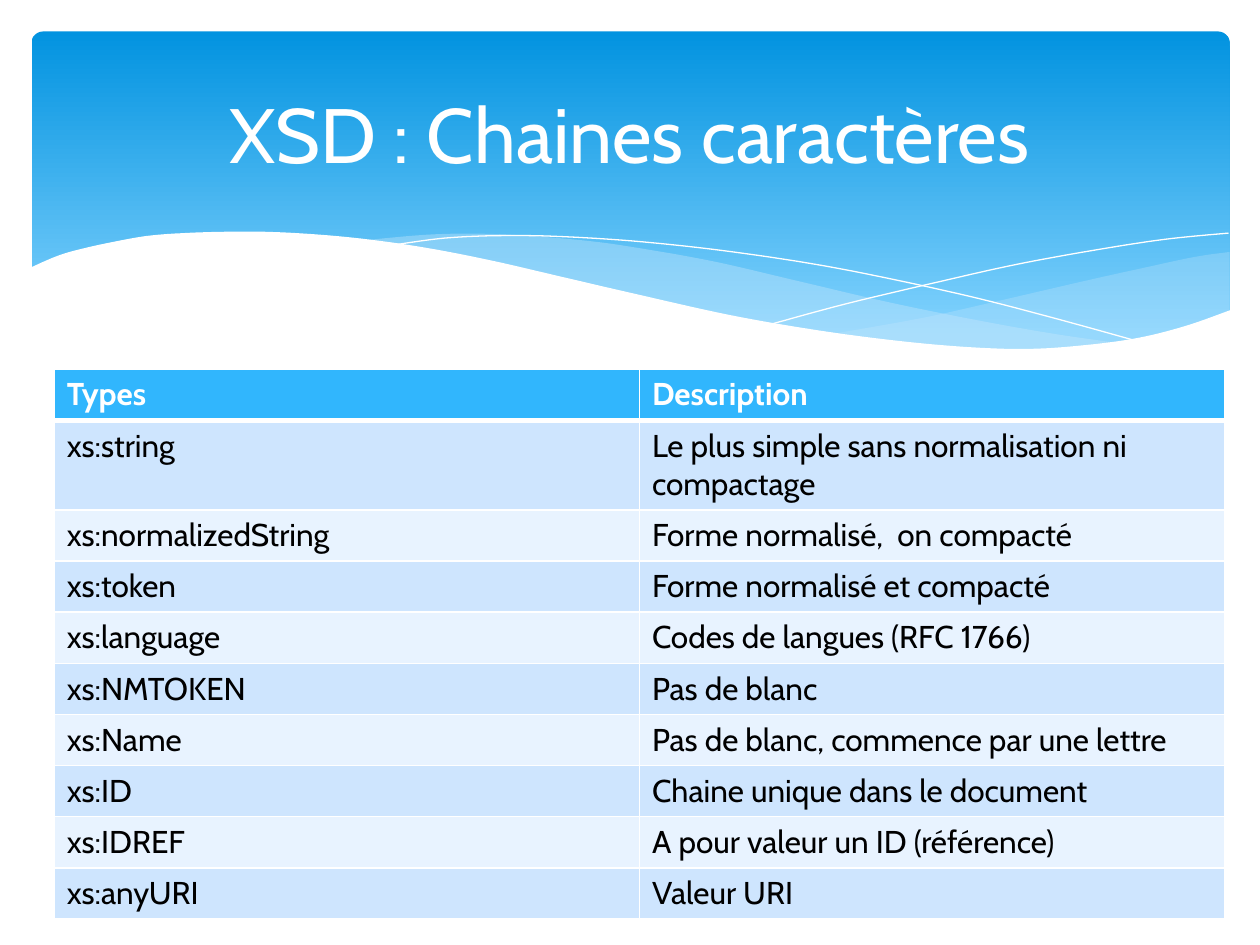
import pptx
import pptx.util
import pptx.dml.color
import pptx.enum.shapes
import pptx.enum.text
import pptx.oxml
import pptx.oxml.ns

RGB = pptx.dml.color.RGBColor
WHITE = RGB(0xFF, 0xFF, 0xFF)
BLACK = RGB(0x00, 0x00, 0x00)
SKY_DEEP = RGB(0x02, 0x93, 0xE0)
SKY_LIGHT = RGB(0x83, 0xD3, 0xFE)
MIST = RGB(0xC6, 0xE7, 0xFC)
HEADER = RGB(0x31, 0xB6, 0xFD)
BANDS = (RGB(0xE8, 0xF3, 0xFF), RGB(0xCE, 0xE5, 0xFE))

COLUMNS, ROWS = 100, 75  # grid of the slide


def smooth(knots, steps=8):
    """Points of a Catmull-Rom curve through the knots."""
    ends = [knots[0], *knots, knots[-1]]
    points = [knots[0]]
    for a, b, c, d in zip(ends, ends[1:], ends[2:], ends[3:]):
        for i in range(1, steps + 1):
            t = i / steps
            points.append(tuple(
                (2 * q + (r - p) * t + (2 * p - 5 * q + 4 * r - s) * t ** 2
                 + (3 * q - p - 3 * r + s) * t ** 3) / 2
                for p, q, r, s in zip(a, b, c, d)))
    return points


class Deck:
    font = "Cabin"

    def __init__(self):
        self.prs = pptx.Presentation()
        self.prs.slide_width = pptx.util.Inches(10)
        self.prs.slide_height = pptx.util.Inches(7.5)
        self.s = self.prs.slides.add_slide(self.prs.slide_layouts[6])

    def x(self, columns):
        return round(self.prs.slide_width * columns / COLUMNS)

    def y(self, rows):
        return round(self.prs.slide_height * rows / ROWS)

    def box(self, left, top, width, height):
        return self.x(left), self.y(top), self.x(width), self.y(height)

    def add_text(self, p, text, size, color, bold=False):
        r = p.add_run()
        r.text = text
        r.font.name, r.font.size = self.font, pptx.util.Pt(size)
        r.font.bold, r.font.color.rgb = bold, color

    def banner(self, at, top_color, bottom_color):
        sp = self.s.shapes.add_shape(
            pptx.enum.shapes.MSO_SHAPE.ROUNDED_RECTANGLE, *self.box(*at))
        sp.adjustments[0] = 0.034
        sp.shadow.inherit = False
        sp.line.fill.background()
        sp.fill.gradient()
        sp.fill.gradient_angle = 270
        stops = zip(sp.fill.gradient_stops, (0, 0.9), (top_color, bottom_color))
        for stop, position, color in stops:
            stop.position, stop.color.rgb = position, color

    def wave(self, *curves, fill=None, opacity=100):
        """A filled area between curves, or a white hairline without fill."""
        points = [(self.x(x), self.y(y)) for c in curves for x, y in smooth(c)]
        builder = self.s.shapes.build_freeform(*points[0], scale=1.0)
        builder.add_line_segments(points[1:], close=fill is not None)
        sp = builder.convert_to_shape()
        sp.shadow.inherit = False
        if fill is None:
            sp.fill.background()
            sp.line.color.rgb, sp.line.width = WHITE, pptx.util.Pt(0)
            return
        sp.line.fill.background()
        sp.fill.solid()
        sp.fill.fore_color.rgb = fill
        if opacity < 100:
            color = sp.element.spPr.find(".//" + pptx.oxml.ns.qn("a:srgbClr"))
            color.append(pptx.oxml.parse_xml(
                f'<a:alpha {pptx.oxml.ns.nsdecls("a")} val="{opacity * 1000}"/>'))

    def title(self, at, text):
        tf = self.s.shapes.add_textbox(*self.box(*at)).text_frame
        tf.word_wrap = True
        tf.vertical_anchor = pptx.enum.text.MSO_ANCHOR.MIDDLE
        p = tf.paragraphs[0]
        p.alignment = pptx.enum.text.PP_ALIGN.CENTER
        self.add_text(p, text, 44, WHITE)

    def borders(self, cell, widths):
        tcPr = cell._tc.get_or_add_tcPr()
        for i, (side, width) in enumerate(zip("LRTB", widths)):
            tcPr.insert(i, pptx.oxml.parse_xml(
                f'<a:ln{side} {pptx.oxml.ns.nsdecls("a")} w="{width * 12700}">'
                f'<a:solidFill><a:srgbClr val="{WHITE}"/></a:solidFill>'
                f'</a:ln{side}>'))

    def table(self, at, row_height, rows):
        frame = self.s.shapes.add_table(len(rows), len(rows[0]), *self.box(*at))
        for i, texts in enumerate(rows):
            head = i == 0
            frame.table.rows[i].height = self.y(row_height)
            for j, text in enumerate(texts):
                cell = frame.table.cell(i, j)
                cell.fill.solid()
                cell.fill.fore_color.rgb = HEADER if head else BANDS[i % 2]
                self.borders(cell, (1, 1, 3 if i == 1 else 1, 3 if head else 1))
                self.add_text(cell.text_frame.paragraphs[0], text, 18,
                              WHITE if head else BLACK, head)
        frame.height = self.y(at[3])


deck = Deck()

# Sky banner
deck.banner((2.5, 2.5, 95.1, 27), SKY_DEEP, SKY_LIGHT)

# Translucent waves
deck.wave([(97.6, 20), (94.8, 20.4), (90.6, 21.3), (86.1, 22.3), (77.9, 24.2),
           (72.9, 25.3), (66.1, 26.5)],
          [(66.1, 26.5), (71.9, 27.2), (76.9, 27.7), (81.4, 27.8), (86.3, 27.5),
           (90.5, 26.9), (94.2, 25.9), (97.6, 24.7)], fill=MIST, opacity=29)
deck.wave([(89.3, 27.3), (83.7, 26.5), (77.5, 25.4), (70.6, 24), (62.9, 22.2),
           (56.9, 20.8), (51.4, 19.8), (46.5, 19.1), (39.9, 18.6), (34.4, 18.6),
           (28.6, 19.1)],
          [(28.6, 19.1), (34.2, 19.9), (40.4, 21.1), (44.9, 22.2), (53, 24),
           (60.1, 25.5), (66.5, 26.6), (72.2, 27.4), (77.3, 27.7), (81.8, 27.8),
           (85.7, 27.7), (89.3, 27.3)], fill=MIST, opacity=40)

# Crossing hairlines
deck.wave([(30.9, 19.5), (35.3, 18.9), (40.1, 18.7), (45, 18.8), (51, 19.2),
           (58.2, 20), (66.5, 21.3), (76, 23.3), (83.1, 25.1), (90.7, 27.2)])
deck.wave([(61.3, 25.7), (67.2, 24.1), (74.8, 22.3), (80.6, 21), (86.6, 19.9),
           (92.4, 19), (97.5, 18.5)])

# White foreground wave
deck.wave([(97.7, 24.6), (94, 25.9), (89.9, 26.9), (85, 27.5), (80.9, 27.7),
           (76.1, 27.5), (70.8, 27), (64.8, 26.2), (57.9, 25), (50.3, 23.3),
           (44.7, 22), (39.1, 20.7), (34, 19.7), (29.2, 19), (25, 18.6),
           (21.1, 18.4), (17.7, 18.4), (14.6, 18.5), (11.9, 18.7), (9.5, 19.1),
           (6.7, 19.7), (4.6, 20.3), (2.3, 21.3)],
          [(2.3, 32.9), (97.7, 32.9)], fill=WHITE)

# Table of types
deck.table((4.3, 29.3, 92.9, 43.5), 4.06, [
    ("Types", "Description"),
    ("xs:string", "Le plus simple sans normalisation ni compactage"),
    ("xs:normalizedString", "Forme normalisé,  on compacté\u00a0"),
    ("xs:token", "Forme normalisé et compacté"),
    ("xs:language", "Codes de langues (RFC 1766)"),
    ("xs:NMTOKEN", "Pas de blanc"),
    ("xs:Name", "Pas de blanc, commence par une lettre"),
    ("xs:ID", "Chaine unique dans le document"),
    ("xs:IDREF", "A pour valeur un ID (référence)"),
    ("xs:anyURI", "Valeur URI"),
])

# Title
deck.title((5, 3.7, 90, 13.7), "XSD : Chaines caractères")

deck.prs.save("out.pptx")
